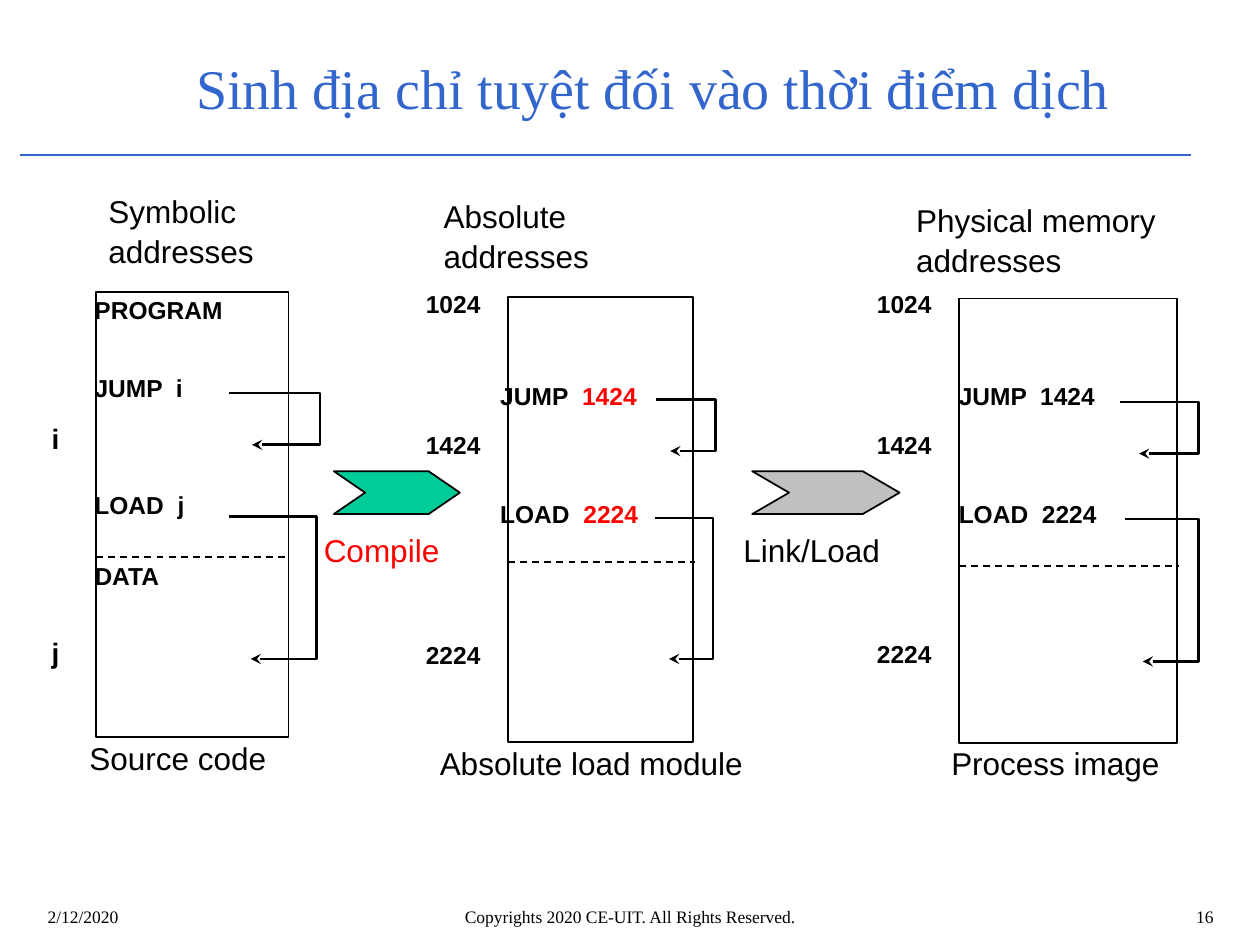
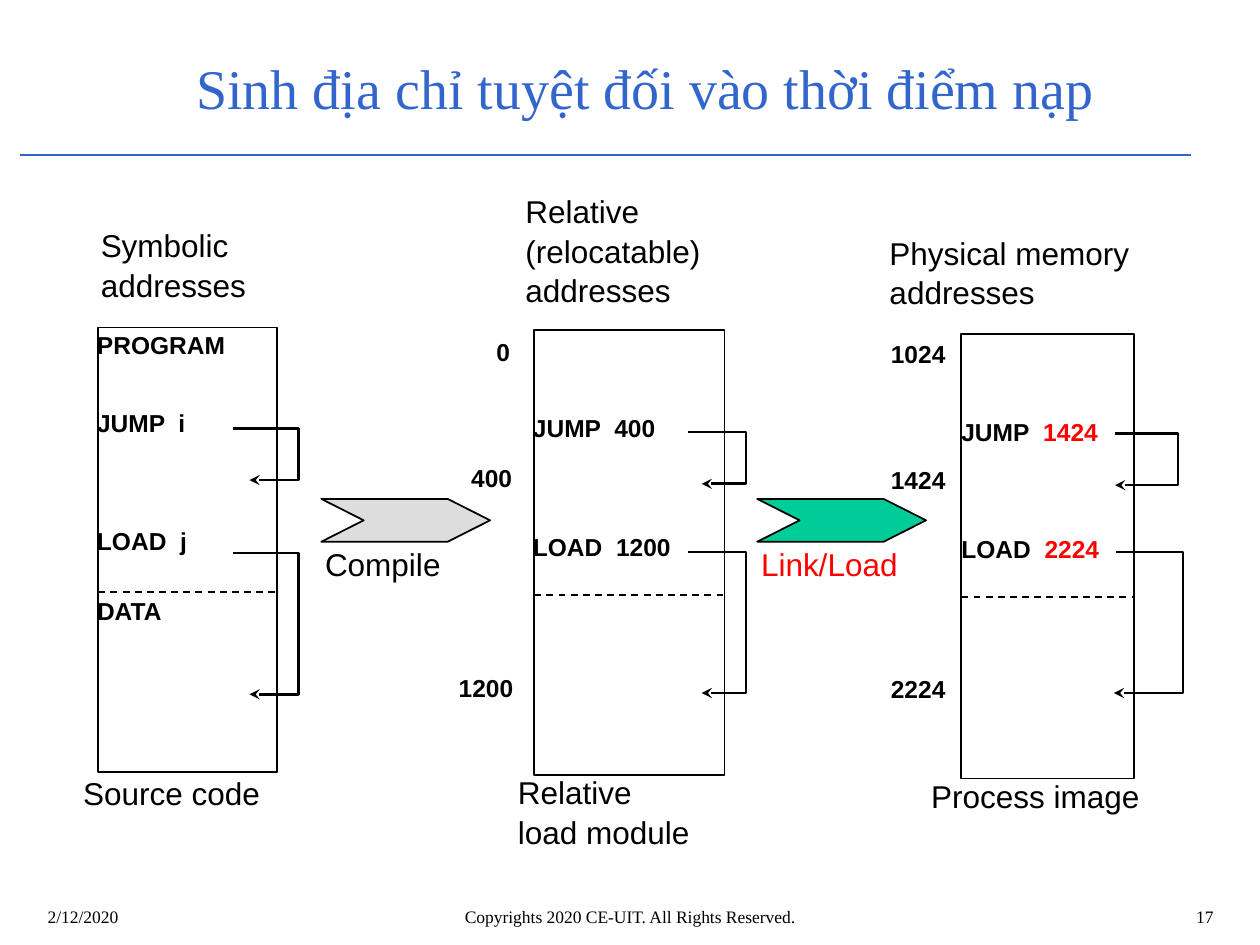
from pptx import Presentation
from pptx.dml.color import RGBColor
from pptx.enum.dml import MSO_LINE as Dash
from pptx.enum.shapes import MSO_CONNECTOR as Link, MSO_SHAPE as Kind
from pptx.enum.text import MSO_ANCHOR as Anchor, MSO_AUTO_SIZE as Fit, PP_ALIGN as Align
from pptx.oxml.ns import qn
from pptx.util import Emu, Pt
from lxml.etree import SubElement

PX = 9144
BLACK, RED, BLUE = "000000", "FF0000", "3366CC"
GREEN, SILVER, PALE = "00CC99", "C0C0C0", "DDDDDD"
SANS, SERIF = "Arial", "Times New Roman"
TALL = 353


def px(*nums):
    """Turn lengths in px (100 to the inch) into EMU."""
    return [Emu(num * PX) for num in nums]


def rgb(code):
    """Turn a hex string into a colour."""
    return RGBColor.from_string(code)


def write(para, words, size, color, font, bold=False):
    """Add one run to a paragraph."""
    run = para.add_run()
    run.text = words
    run.font.size, run.font.name, run.font.bold = Pt(size), font, bold
    run.font.color.rgb = rgb(color)


def fixed(slide, box, words, size, color=BLACK, align=Align.LEFT, anchor=Anchor.TOP):
    """Add a serif text box with the usual margins."""
    frame = slide.shapes.add_textbox(*px(*box)).text_frame
    frame.word_wrap, frame.vertical_anchor = True, anchor
    frame.paragraphs[0].alignment = align
    write(frame.paragraphs[0], words, size, color, SERIF)


def label(slide, x, y, wide, paras, size=18, bold=False, wrap=False):
    """Add sans text without margins; a paragraph is a list of (words, colour) runs."""
    high = round(size * 5 / 3 * len(paras)) + 10
    frame = slide.shapes.add_textbox(*px(x, y, wide, high)).text_frame
    frame.margin_left = frame.margin_right = frame.margin_top = frame.margin_bottom = 0
    frame.word_wrap, frame.auto_size = wrap, Fit.SHAPE_TO_FIT_TEXT
    for num, runs in enumerate(paras):
        para = frame.add_paragraph() if num else frame.paragraphs[0]
        para.line_spacing = 1.05
        for words, color in runs:
            for part, line in enumerate(words.split("\n")):
                if part:
                    para.add_line_break()
                write(para, line, size, color, SANS, bold)


def plain(slide, x, y, wide, *lines, color=BLACK, wrap=False):
    """Add a heading or caption, one paragraph a line."""
    label(slide, x, y, wide, [[(line, color)] for line in lines], wrap=wrap)


def code(slide, x, y, wide, words, arg="", color=BLACK, size=14):
    """Add a bold instruction or address, its argument in its own colour."""
    runs = [(words, BLACK)] + ([("  " + arg, color)] if arg else [])
    label(slide, x, y, wide, [runs], size, bold=True)


def marks(slide, *spots):
    """Add the addresses beside a memory block."""
    for x, y, wide, words in spots:
        code(slide, x, y, wide, words)


def rule(slide, x, y, end, color=BLACK, weight=1, dash=None):
    """Draw a level line."""
    line = slide.shapes.add_connector(Link.STRAIGHT, *px(x, y, end, y))
    line.line.color.rgb, line.line.width = rgb(color), Pt(weight)
    if dash:
        line.line.dash_style = dash
    SubElement(line._element.spPr, qn("a:effectLst"))


def edge(shape, weight, fill=None):
    """Give a shape a black line and a fill, or none."""
    shape.shadow.inherit = False
    if fill:
        shape.fill.solid()
        shape.fill.fore_color.rgb = rgb(fill)
    else:
        shape.fill.background()
    shape.line.color.rgb, shape.line.width = rgb(BLACK), Pt(weight)


def block(slide, x, y, wide, split, end):
    """Draw a memory block with a dashed split."""
    edge(slide.shapes.add_shape(Kind.RECTANGLE, *px(x, y, wide, TALL)), 1)
    rule(slide, x, split, end, dash=Dash.DASH)


def hook(slide, x, y, side, low, tip):
    """Draw a bent arrow out to a side, down and back to its tip."""
    path = slide.shapes.build_freeform(*px(x, y))
    path.add_line_segments([px(side, y), px(side, low), px(tip, low)], close=False)
    shape = path.convert_to_shape()
    edge(shape, 1.5)
    SubElement(shape.line._get_or_add_ln(), qn("a:tailEnd"), type="stealth")


def step(slide, x, y, wide, notch, fill):
    """Draw a chevron between two blocks."""
    shape = slide.shapes.add_shape(Kind.CHEVRON, *px(x, y, wide, 34))
    shape.adjustments[0] = notch
    edge(shape, 1, fill)


def source(slide, x, y, wide, end):
    """Draw the source code block with its instructions."""
    block(slide, x, y, wide, y + 210, end)
    left = x - 1
    code(slide, left, y + 1, 113, "PROGRAM")
    code(slide, left, y + 63, 81, "JUMP", "i")
    code(slide, left, y + 156, 83, "LOAD", "j")
    code(slide, left, y + 212, 62, "DATA")


def page(deck, title, num):
    """Add a slide with the shared title, rule and footer."""
    slide = deck.slides.add_slide(deck.slide_layouts[6])
    rule(slide, 16, 123, 945, BLUE, 0.75)
    fixed(slide, (146, 31, 804, 76), title, 32, BLUE, anchor=Anchor.MIDDLE)
    fixed(slide, (28, 714, 233, 32), "2/12/2020", 10)
    fixed(slide, (781, 714, 192, 32), num, 10, align=Align.RIGHT)
    fixed(slide, (193, 714, 614, 32), "Copyrights 2020 CE-UIT. All Rights Reserved.",
          10, align=Align.CENTER)
    return slide


def compiled(deck):
    """Build the slide on addresses fixed at compile time."""
    slide = page(deck, "Sinh địa chỉ tuyệt đối vào thời điểm dịch", "16")

    source(slide, 76, 232, 153, 227)
    plain(slide, 86, 151, 127, "Symbolic\naddresses")
    code(slide, 41, 333, 18, "i", size=16)
    code(slide, 41, 503, 18, "j", size=16)
    hook(slide, 182, 312, 254, 353, 200)
    hook(slide, 182, 410, 251, 523, 199)
    plain(slide, 71, 585, 152, "Source code")

    block(slide, 403, 236, 147, 446, 552)
    plain(slide, 352, 155, 255, "Absolute", "addresses", wrap=True)
    marks(slide, (338, 228, 55, "1024"), (338, 340, 55, "1424"), (338, 507, 55, "2224"))
    code(slide, 397, 301, 119, "JUMP", "1424", RED)
    code(slide, 397, 395, 120, "LOAD", "2224", RED)
    hook(slide, 521, 317, 568, 358, 532)
    hook(slide, 520, 411, 566, 523, 531)
    plain(slide, 349, 589, 252, "Absolute load module")

    step(slide, 265, 374, 100, 0.73, GREEN)
    plain(slide, 257, 420, 103, "Compile", color=RED)
    step(slide, 597, 374, 117, 0.86, SILVER)
    plain(slide, 590, 420, 120, "Link/Load")

    block(slide, 761, 237, 173, 449, 935)
    plain(slide, 727, 158, 248, "Physical memory addresses", wrap=True)
    marks(slide, (696, 228, 55, "1024"), (696, 340, 55, "1424"), (696, 506, 55, "2224"))
    code(slide, 761, 301, 119, "JUMP", "1424")
    code(slide, 761, 395, 120, "LOAD", "2224")
    hook(slide, 889, 319, 951, 360, 904)
    hook(slide, 893, 412, 951, 525, 907)
    plain(slide, 755, 589, 184, "Process image")


def loaded(deck):
    """Build the slide on addresses fixed at load time."""
    slide = page(deck, "Sinh địa chỉ tuyệt đối vào thời điểm nạp", "17")

    block(slide, 424, 262, 151, 472, 576)
    plain(slide, 417, 151, 157, "Relative", "(relocatable)", "addresses")
    marks(slide, (394, 266, 22, "0"), (374, 366, 44, "400"), (364, 533, 55, "1200"))
    code(slide, 423, 327, 108, "JUMP", "400")
    code(slide, 423, 421, 120, "LOAD", "1200")
    hook(slide, 546, 343, 592, 384, 557)
    hook(slide, 546, 438, 592, 550, 557)
    plain(slide, 411, 612, 171, "Relative", "load module", wrap=True)

    source(slide, 78, 260, 142, 220)
    plain(slide, 80, 178, 127, "Symbolic\naddresses")
    hook(slide, 185, 340, 237, 381, 198)
    hook(slide, 185, 439, 237, 551, 198)
    plain(slide, 66, 613, 152, "Source code")

    step(slide, 255, 396, 134, 0.99, PALE)
    plain(slide, 258, 431, 103, "Compile")
    step(slide, 601, 396, 134, 0.99, GREEN)
    plain(slide, 604, 431, 120, "Link/Load", color=RED)

    block(slide, 763, 265, 137, 474, 900)
    plain(slide, 706, 184, 253, "Physical memory addresses", wrap=True)
    marks(slide, (707, 268, 55, "1024"), (707, 368, 55, "1424"), (707, 534, 55, "2224"))
    code(slide, 763, 330, 119, "JUMP", "1424", RED)
    code(slide, 763, 423, 120, "LOAD", "2224", RED)
    hook(slide, 885, 344, 935, 385, 885)
    hook(slide, 886, 438, 939, 550, 884)
    plain(slide, 739, 615, 184, "Process image")


def main():
    """Build and save the deck."""
    deck = Presentation()
    deck.slide_width, deck.slide_height = px(1000, 750)
    compiled(deck)
    loaded(deck)
    deck.save("out.pptx")


if __name__ == "__main__":
    main()
